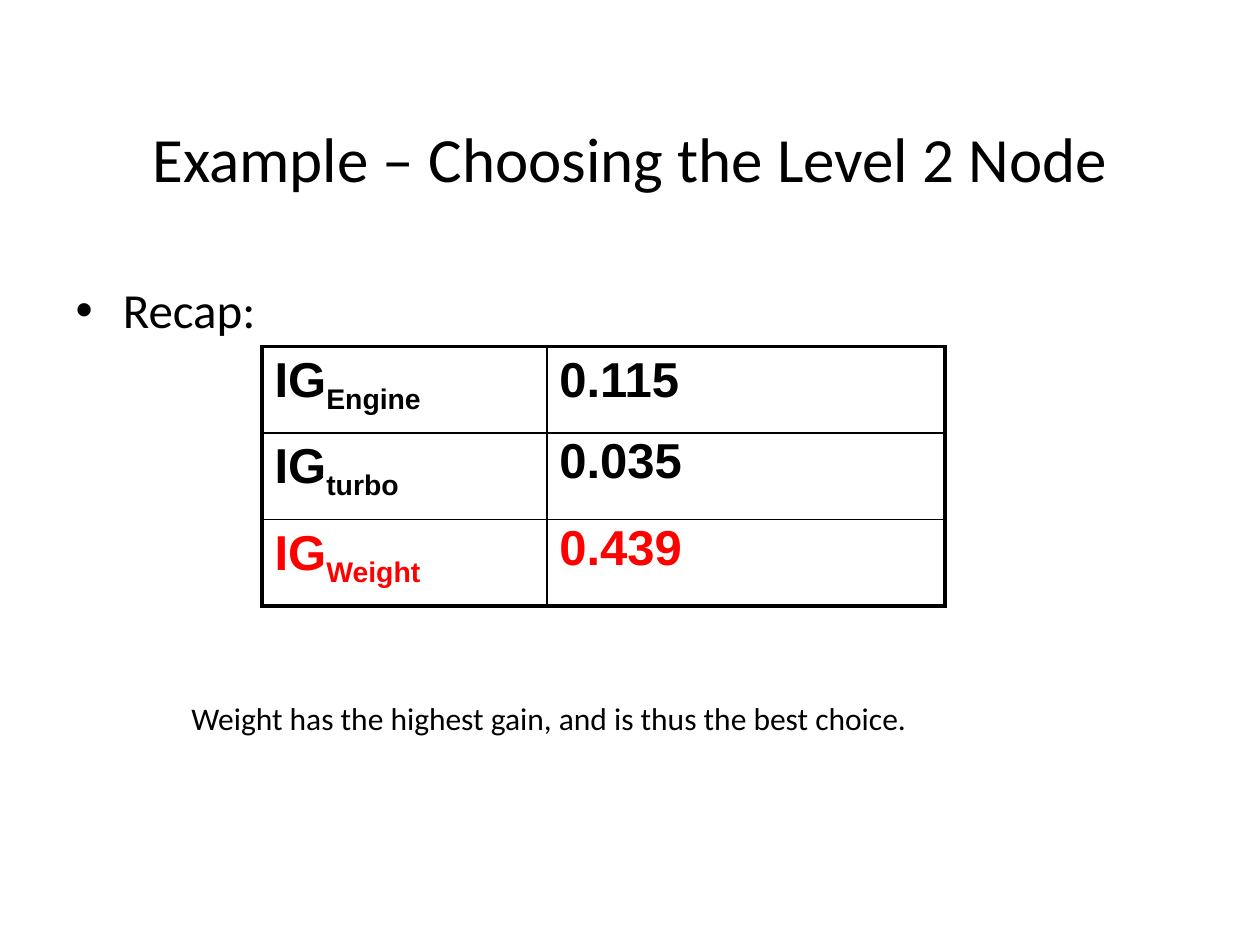
import pptx
import pptx.dml.color
import pptx.enum.text
import pptx.oxml.ns
import pptx.util
from lxml import etree

Inches = pptx.util.Inches
Pt = pptx.util.Pt
COLORS = {"text": "000000", "best": "FF0000", "border": "000000"}
FORMATS = {
    "title": {"name": "Calibri", "size": Pt(36)},
    "recap": {"name": "Calibri", "size": Pt(28)},
    "gain": {"name": "Arial", "size": Pt(28), "bold": True},
    "conclusion": {"name": "Calibri", "size": Pt(18)},
}
GAINS = [
    ("Engine", "0.115", "text"),
    ("turbo", "0.035", "text"),
    ("Weight", "0.439", "best"),
]
OUTER, INNER = Pt(2.25), Pt(1)


def place(part, box):
    for side, length in zip(("left", "top", "width", "height"), box):
        setattr(part, side, Inches(length))


def write(paragraph, words, style, color="text"):
    run = paragraph.add_run()
    run.text = words
    for attribute, value in FORMATS[style].items():
        setattr(run.font, attribute, value)
    run.font.color.rgb = pptx.dml.color.RGBColor.from_string(COLORS[color])
    return run


def add_title(slide, box):
    title = slide.shapes.title
    place(title, box)
    title.text_frame.vertical_anchor = pptx.enum.text.MSO_ANCHOR.MIDDLE
    heading = title.text_frame.paragraphs[0]
    heading.alignment = pptx.enum.text.PP_ALIGN.CENTER
    write(heading, "Example – Choosing the Level 2 Node", "title")


def add_recap(slide, box):
    body = slide.placeholders[1]
    place(body, box)
    recap = body.text_frame.paragraphs[0]
    recap.space_before = Pt(0)
    write(recap, "Recap:", "recap")


def draw_border(cell, side, width):
    properties = cell._tc.get_or_add_tcPr()
    qn = pptx.oxml.ns.qn
    line = etree.SubElement(properties, qn(f"a:{side}"), w=str(width))
    fill = etree.SubElement(line, qn("a:solidFill"))
    etree.SubElement(fill, qn("a:srgbClr"), val=COLORS["border"])


def add_gains(slide, box):
    rows = len(GAINS)
    table = slide.shapes.add_table(rows, 2, *map(Inches, box)).table
    for column, width in zip(table.columns, (2.26, 3.16)):
        column.width = Inches(width)
    for row, (attribute, gain, color) in enumerate(GAINS):
        label, value = table.cell(row, 0), table.cell(row, 1)
        write(label.text_frame.paragraphs[0], "IG", "gain", color)
        subscript = write(label.text_frame.paragraphs[0], attribute, "gain", color)
        subscript._r.get_or_add_rPr().set("baseline", "-25000")
        write(value.text_frame.paragraphs[0], gain, "gain", color)
        if row:
            value.text_frame.paragraphs[0].line_spacing = 0.9
        for column, cell in enumerate((label, value)):
            edges = {
                "lnL": column == 0,
                "lnR": column == 1,
                "lnT": row == 0,
                "lnB": row == rows - 1,
            }
            for side, outer in edges.items():
                draw_border(cell, side, OUTER if outer else INNER)
            cell.fill.background()


def add_conclusion(slide, box):
    conclusion = slide.shapes.add_textbox(*map(Inches, box)).text_frame
    conclusion.word_wrap = False
    conclusion.auto_size = pptx.enum.text.MSO_AUTO_SIZE.SHAPE_TO_FIT_TEXT
    write(
        conclusion.paragraphs[0],
        "Weight has the highest gain, and is thus the best choice.",
        "conclusion",
    )


def main():
    deck = pptx.Presentation()
    deck.slide_width, deck.slide_height = Inches(10), Inches(7.5)
    slide = deck.slides.add_slide(deck.slide_layouts[1])
    add_title(slide, (0.5, 0.5, 9, 1.5))
    add_recap(slide, (0.5, 2.17, 4.42, 4.25))
    add_gains(slide, (2.08, 2.75, 5.42, 2.06))
    add_conclusion(slide, (1.42, 5.5, 6.45, 0.4))
    deck.save("out.pptx")


if __name__ == "__main__":
    main()
